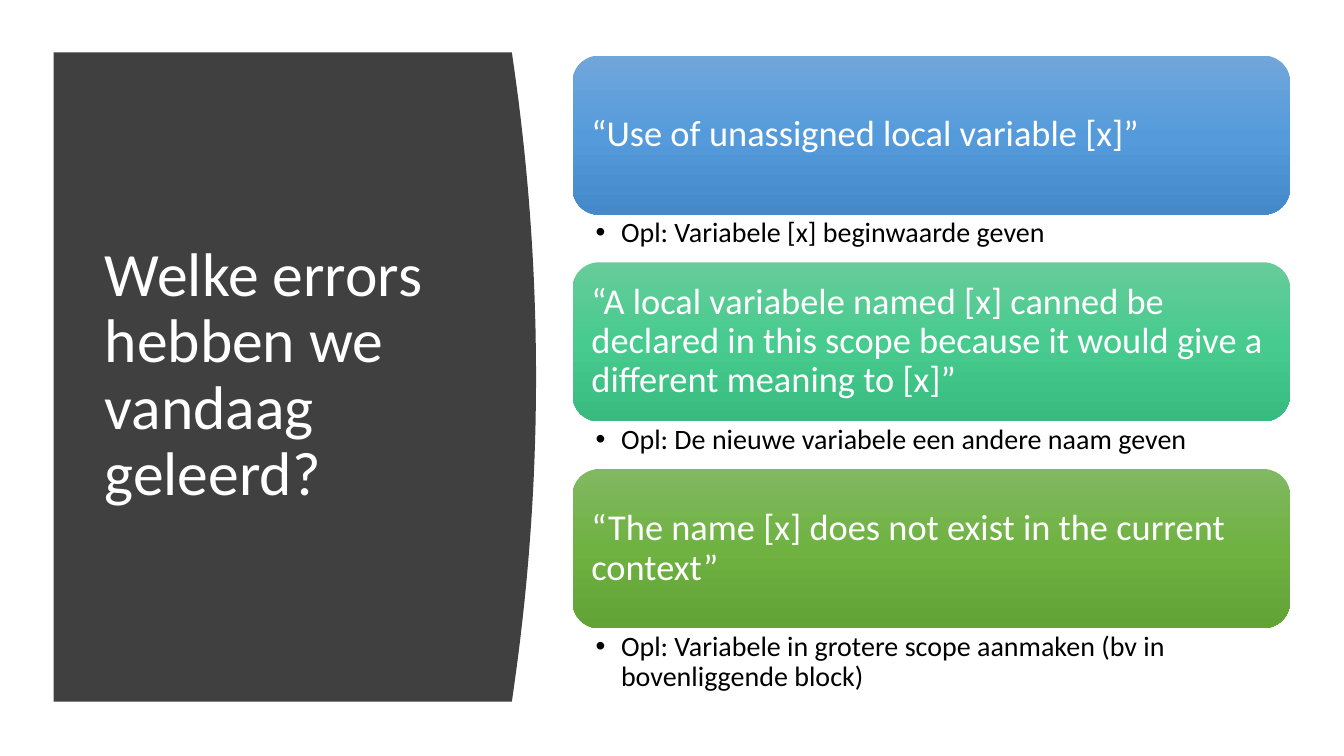
from copy import deepcopy
from dataclasses import dataclass

from lxml import etree
from pptx import Presentation
from pptx import util as u
from pptx.dml.color import RGBColor
from pptx.enum import shapes, text
from pptx.oxml.ns import qn


@dataclass(frozen=True)
class Theme:
    font: str = "Calibri"
    panel: str = "404040"
    light: str = "FFFFFF"
    dark: str = "000000"
    head: int = 44
    card: int = 26
    note: int = 20


@dataclass(frozen=True)
class Box:
    left: float
    top: float
    width: float
    height: float

    def size(self) -> tuple:
        return tuple(u.Cm(n) for n in (self.left, self.top, self.width, self.height))


@dataclass(frozen=True)
class Error:
    quote: str
    fix: str
    tones: tuple
    slot: int
    depth: float = 1.19


THEME = Theme()
WIDE, HIGH = 33.87, 19.05
PANEL = Box(1.35, 1.32, 11.55, 16.36)
BULGE, STEPS = 0.61, 40
HEAD = Box(2.39, 2.82, 9.5, 13.31)
CARD = Box(14.43, 1.4, 18.08, 4.01)
PITCH = 5.21
INDENT = 0.64

ERRORS = (
    Error("“Use of unassigned local variable [x]”",
          "Opl: Variabele [x] beginwaarde geven",
          ("71A6DB", "559BDB", "448ACA"), 1),
    Error("“A local variabele named [x] canned be declared in this scope "
          "because it would give a different meaning to [x]”",
          "Opl: De nieuwe variabele een andere naam geven",
          ("67CC9A", "47CB8E", "39BB7F"), 2),
    Error("“The name [x] does not exist in the current context”",
          "Opl: Variabele in grotere scope aanmaken (bv in bovenliggende block)",
          ("81B861", "6FB242", "62A336"), 3, 1.75),
)


def place(shape, box: Box) -> None:
    shape.left, shape.top, shape.width, shape.height = box.size()


def write(shape, words: str, size: int, tint: str, anchor, pads: tuple):
    frame = shape.text_frame
    frame.text = words
    frame.word_wrap = True
    frame.auto_size = text.MSO_AUTO_SIZE.NONE
    frame.vertical_anchor = anchor
    frame.margin_left, frame.margin_top, frame.margin_right, frame.margin_bottom = (
        u.Cm(n) for n in pads)
    para = frame.paragraphs[0]
    para.alignment = text.PP_ALIGN.LEFT
    para.line_spacing = 0.9
    para.space_before = u.Pt(0)
    font = para.runs[0].font
    font.name, font.size, font.bold = THEME.font, u.Pt(size), False
    font.color.rgb = RGBColor.from_string(tint)
    return para


def draw_panel(slide) -> None:
    edge = PANEL.left + PANEL.width
    curve = []
    for step in range(STEPS + 1):
        part = step / STEPS
        curve.append((u.Cm(edge + BULGE * 4 * part * (1 - part)),
                      u.Cm(PANEL.top + PANEL.height * part)))
    left, top = u.Cm(PANEL.left), u.Cm(PANEL.top)
    path = slide.shapes.build_freeform(left, top)
    path.add_line_segments(curve + [(left, u.Cm(PANEL.top + PANEL.height))])
    panel = path.convert_to_shape()
    panel.shadow.inherit = False
    panel.fill.solid()
    panel.fill.fore_color.rgb = RGBColor.from_string(THEME.panel)
    panel.line.fill.background()
    slide.shapes.element.insert(2, panel.element)


def shade(shape, tones: tuple) -> None:
    shape.fill.gradient()
    shape.fill.gradient_angle = 270
    stops = shape.element.spPr.find(".//" + qn("a:gsLst"))
    stops.append(deepcopy(stops[0]))
    for rank, (stop, tone) in enumerate(zip(shape.fill.gradient_stops, tones)):
        stop.position = rank / 2
        stop.color.rgb = RGBColor.from_string(tone)


def draw_card(slide, error: Error, box: Box) -> None:
    card = slide.shapes.add_shape(shapes.MSO_SHAPE.ROUNDED_RECTANGLE, *box.size())
    card.shadow.inherit = False
    card.line.fill.background()
    shade(card, error.tones)
    write(card, error.quote, THEME.card, THEME.light,
          text.MSO_ANCHOR.MIDDLE, (0.28,) * 4)


def draw_note(slide, error: Error, box: Box) -> None:
    note = slide.placeholders[error.slot]
    place(note, box)
    para = write(note, error.fix, THEME.note, THEME.dark,
                 text.MSO_ANCHOR.TOP, (0.58, 0.1, 0.51, 0.1))
    para.level = 1
    props = para._p.get_or_add_pPr()
    props.set("marL", str(u.Cm(INDENT)))
    props.set("indent", str(-u.Cm(INDENT)))
    etree.SubElement(props, qn("a:buFont")).set("typeface", "Arial")
    etree.SubElement(props, qn("a:buChar")).set("char", "•")


def main() -> None:
    deck = Presentation()
    deck.slide_width, deck.slide_height = u.Cm(WIDE), u.Cm(HIGH)
    slide = deck.slides.add_slide(deck.slide_layouts.get_by_name("Comparison"))
    draw_panel(slide)
    title = slide.shapes.title
    place(title, HEAD)
    write(title, "Welke errors hebben we vandaag geleerd?", THEME.head,
          THEME.light, text.MSO_ANCHOR.MIDDLE, (0.25, 0.13, 0.25, 0.13))
    for row, error in enumerate(ERRORS):
        top = CARD.top + row * PITCH
        draw_card(slide, error, Box(CARD.left, top, CARD.width, CARD.height))
        draw_note(slide, error,
                  Box(CARD.left, top + CARD.height, CARD.width, error.depth))
    spare = slide.placeholders[4].element
    spare.getparent().remove(spare)
    deck.save("out.pptx")


if __name__ == "__main__":
    main()
